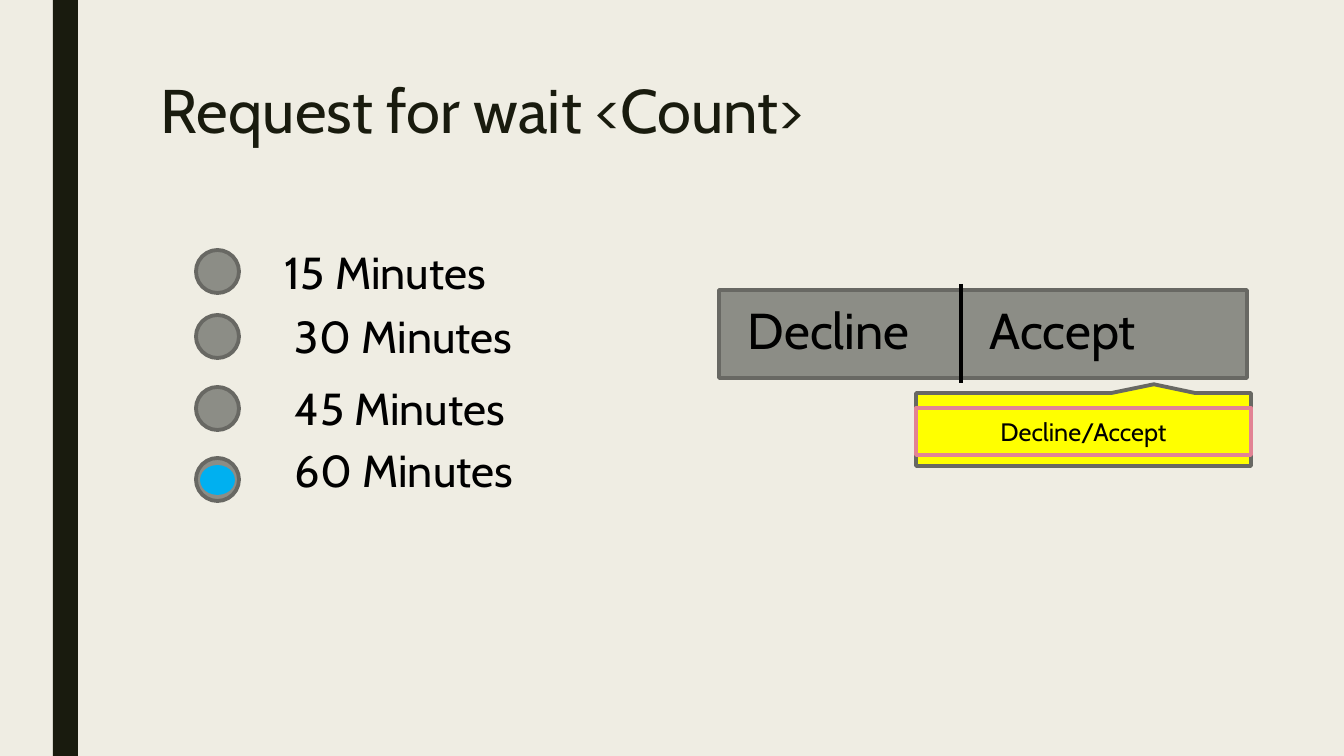
from lxml import etree
from pptx import Presentation, util as u
from pptx.dml.color import RGBColor
from pptx.enum import shapes, text
from pptx.oxml.ns import qn

# Content: label, circle top, label top, label left inset
TITLE = "Request for wait <Count>"
OPTIONS = [("15 Minutes", 250, 240, 9), ("30 Minutes", 315, 304, 19),
           ("45 Minutes", 387, 376, 19), ("60 Minutes", 458, 438, 19)]
BUTTONS = "Decline\tAccept"
CALLOUT = "Decline/Accept"

COLORS = {"back": "EFEDE3", "dark": "191B0E", "gray": "8C8D86", "edge": "686863",
          "black": "000000", "blue": "00B0F0", "yellow": "FFFF00", "pink": "E28394"}
FONT = "Cabin"
STROKE = u.Pt(2.75)
KIND = shapes.MSO_SHAPE


def px(length):
    return u.Emu(round(length * 914400 / 100.8))


def color(name):
    return RGBColor.from_string(COLORS[name])


deck = Presentation()
deck.slide_width, deck.slide_height = px(1344), px(756)
page = deck.slides.add_slide(deck.slide_layouts[6])
page.background.fill.solid()
page.background.fill.fore_color.rgb = color("back")


def draw(kind, box, fill=None, line=None):
    shape = page.shapes.add_shape(kind, *map(px, box))
    shape.shadow.inherit = False
    if fill:
        shape.fill.solid()
        shape.fill.fore_color.rgb = color(fill)
    else:
        shape.fill.background()
    if line:
        shape.line.color.rgb = color(line)
        shape.line.width = STROKE
    else:
        shape.line.fill.background()
    return shape


def write(words, box=None, shape=None, size=32, ink="black", inset=10,
          align="LEFT", anchor="TOP", spacing=None, tab=None):
    shape = shape or page.shapes.add_textbox(*map(px, box))
    frame = shape.text_frame
    frame.word_wrap = True
    frame.margin_left, frame.margin_right = px(inset), px(10)
    frame.margin_top = frame.margin_bottom = px(5)
    frame.vertical_anchor = text.MSO_ANCHOR[anchor]
    para = frame.paragraphs[0]
    para.alignment = text.PP_ALIGN[align]
    if spacing:
        para.line_spacing = spacing
    span = para.add_run()
    span.text = words
    span.font.name, span.font.size = FONT, u.Pt(size)
    span.font.color.rgb = color(ink)
    if tab:
        stops = etree.SubElement(para._p.get_or_add_pPr(), qn("a:tabLst"))
        etree.SubElement(stops, qn("a:tab"), pos=str(px(tab)), algn="l")


# Side bar and title
draw(KIND.RECTANGLE, (53, 0, 25, 756), "dark")
write(TITLE, (151, 76, 1058, 163), size=44, ink="dark", spacing=0.89)

# Waiting time options, the last one chosen
for label, circle_top, label_top, inset in OPTIONS:
    draw(KIND.OVAL, (196, circle_top, 43, 43), "gray", "edge")
    write(label, (276, label_top, 364, 64), inset=inset)
draw(KIND.OVAL, (202, 467, 31, 26), "blue", "blue")

# Decline and accept buttons with divider
draw(KIND.RECTANGLE, (719, 290, 528, 88), "gray", "edge")
write(BUTTONS, (730, 294, 517, 72), size=36, inset=18, tab=242)
divider = page.shapes.add_connector(shapes.MSO_CONNECTOR.STRAIGHT,
                                    *map(px, (961, 284, 961, 383)))
divider.line.color.rgb = color("black")
divider.line.width = STROKE
etree.SubElement(divider._element.spPr, qn("a:effectLst"))

# Callout pointing up at the accept button
callout = draw(KIND.RECTANGULAR_CALLOUT, (916, 393, 335, 73), "yellow", "edge")
callout.adjustments[0], callout.adjustments[1] = 0.21, -0.62
frame_box = draw(KIND.RECTANGLE, (916, 408, 335, 47), line="pink")
write(CALLOUT, shape=frame_box, size=18, align="CENTER", anchor="MIDDLE")

deck.save("out.pptx")
